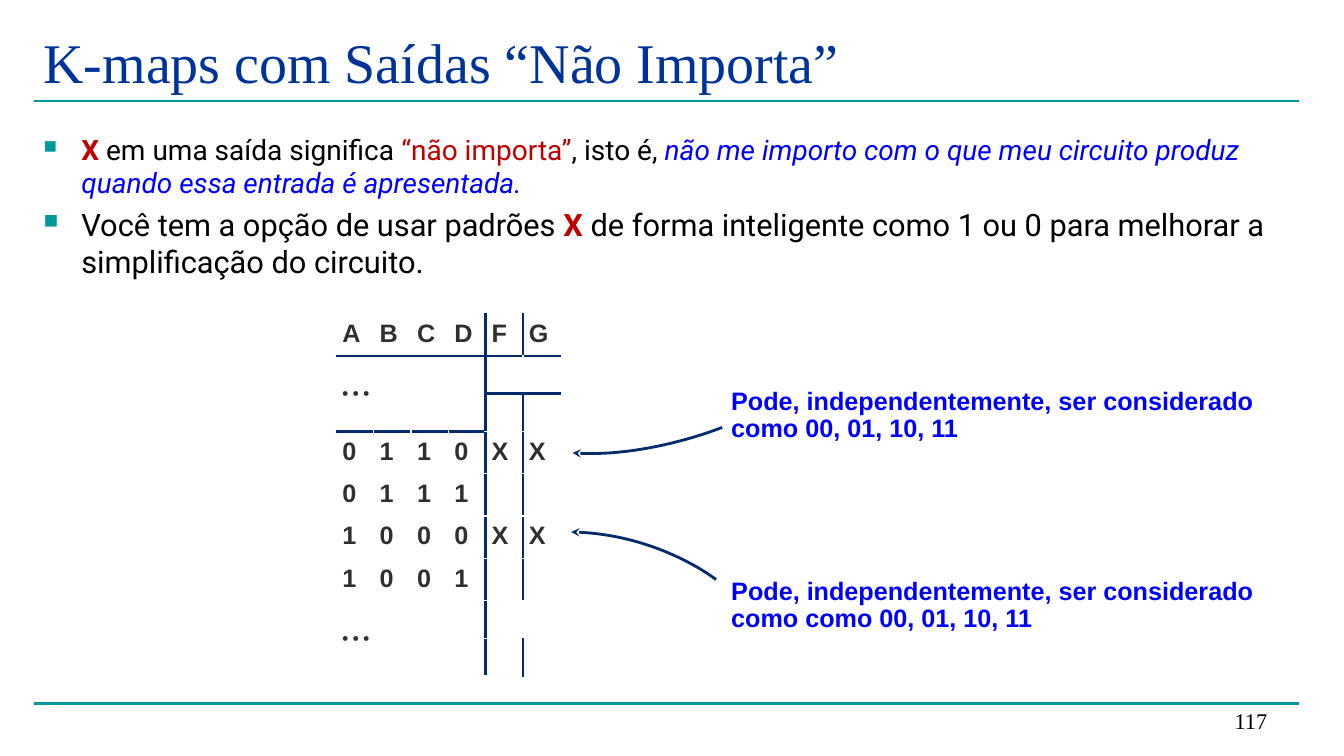
from lxml import etree
from pptx import Presentation
from pptx.dml.color import RGBColor
from pptx.enum.shapes import MSO_CONNECTOR
from pptx.enum.text import MSO_ANCHOR, PP_ALIGN
from pptx.oxml.ns import qn
from pptx.util import Pt

STRAIGHT = MSO_CONNECTOR.STRAIGHT
TOP, MIDDLE, BOTTOM = MSO_ANCHOR.TOP, MSO_ANCHOR.MIDDLE, MSO_ANCHOR.BOTTOM
LEFT, RIGHT = PP_ALIGN.LEFT, PP_ALIGN.RIGHT
TEAL, NAVY, BLUE, RED, BLACK, GREY = "009999", "062B6B", "0000FF", "C00000", "000000", "2F2F2F"
SERIF, SANS, BODY = "Times New Roman", "Arial", "Roboto"
CELL_MARGIN = 4.3
TRUTH_ROWS = ["ABCDFG", "", "", "0110XX", "0111", "1000XX", "1001", "", ""]
DOT_ROWS = (1, 7)
INPUT_COUNT = 4


def color(value):
    return RGBColor.from_string(value)


def child(parent, tag, **attributes):
    return etree.SubElement(parent, qn(tag), attributes)


def add_run(paragraph, text, size, font_name, font_color, bold=False, italic=False):
    run = paragraph.add_run()
    run.text = text
    font = run.font
    font.size, font.name, font.bold, font.italic = Pt(size), font_name, bold, italic
    font.color.rgb = color(font_color)


def add_text_box(slide, box, anchor=TOP, margins=(7.2, 3.6)):
    shape = slide.shapes.add_textbox(*map(Pt, box))
    frame = shape.text_frame
    frame.word_wrap = True
    frame.vertical_anchor = anchor
    frame.margin_left = frame.margin_right = Pt(margins[0])
    frame.margin_top = frame.margin_bottom = Pt(margins[1])
    return frame


def add_label(slide, box, text, size, font_color, anchor=TOP, align=LEFT):
    paragraph = add_text_box(slide, box, anchor).paragraphs[0]
    paragraph.alignment = align
    add_run(paragraph, text, size, SERIF, font_color)


def add_rule(slide, left, top, width):
    rule = slide.shapes.add_connector(STRAIGHT, Pt(left), Pt(top), Pt(left + width), Pt(top))
    rule.line.color.rgb = color(TEAL)
    rule.line.width = Pt(1.5)
    child(rule._element.spPr, "a:effectLst")


def add_bullets(slide, box, bullets):
    frame = add_text_box(slide, box)
    for index, (size, pieces) in enumerate(bullets):
        paragraph = frame.add_paragraph() if index else frame.paragraphs[0]
        if index:
            paragraph.space_before = Pt(size * 0.2)
        properties = paragraph._p.get_or_add_pPr()
        properties.set("marL", str(Pt(27)))
        properties.set("indent", str(-Pt(27)))
        child(child(properties, "a:buClr"), "a:srgbClr", val=TEAL)
        child(properties, "a:buSzPct", val="65000")
        child(properties, "a:buChar", char="■")
        for text, font_color, bold, italic in pieces:
            add_run(paragraph, text, size, BODY, font_color, bold, italic)


def add_border(cell, sides):
    properties = cell._tc.get_or_add_tcPr()
    for index, side in enumerate(sides):
        line = etree.Element(qn("a:ln" + side), w=str(Pt(2)))
        child(child(line, "a:solidFill"), "a:srgbClr", val=NAVY)
        properties.insert(index, line)


def fill_cell(cell, text, size):
    cell.fill.background()
    cell.margin_left = cell.margin_right = Pt(CELL_MARGIN)
    cell.margin_top = cell.margin_bottom = Pt(CELL_MARGIN)
    paragraph = cell.text_frame.paragraphs[0]
    if text:
        add_run(paragraph, text, size, SANS, GREY, bold=True)
    else:
        child(paragraph._p, "a:endParaRPr", sz="1200")


def add_truth_table(slide, box):
    row_count, column_count = len(TRUTH_ROWS), len(TRUTH_ROWS[0])
    table = slide.shapes.add_table(row_count, column_count, *map(Pt, box)).table
    table.first_row = table.horz_banding = False
    for column in table.columns:
        column.width = Pt(box[2] / column_count)
    for row_index, values in enumerate(TRUTH_ROWS):
        table.rows[row_index].height = Pt(29.7 if values else 27)
        for column_index in range(column_count):
            cell = table.cell(row_index, column_index)
            starts_dots = row_index in DOT_ROWS and column_index == 0
            if starts_dots:
                fill_cell(cell, "• • •", 12)
                cell.vertical_anchor = MIDDLE
            else:
                fill_cell(cell, values[column_index:column_index + 1], 18)
            sides = "L" if column_index == INPUT_COUNT else ""
            if column_index == INPUT_COUNT - 1 or starts_dots:
                sides += "R"
            sides += {0: "B", 1: "T"}.get(row_index, "")
            add_border(cell, sides)
    for row_index in DOT_ROWS:
        table.cell(row_index, 0).merge(table.cell(row_index + 1, INPUT_COUNT - 1))


def add_callout(slide, box, lines, curve):
    frame = add_text_box(slide, box, margins=(CELL_MARGIN, CELL_MARGIN))
    for index, text in enumerate(lines):
        paragraph = frame.add_paragraph() if index else frame.paragraphs[0]
        paragraph.line_spacing = 0.9
        paragraph._p.get_or_add_pPr().set("marL", str(Pt(3)))
        add_run(paragraph, text, 18, SANS, BLUE, bold=True)

    start, bend, tip = [(Pt(box[0] + x), Pt(box[1] + y)) for x, y in curve]
    builder = slide.shapes.build_freeform(*start)
    builder.add_line_segments([start, bend, tip], close=False)
    arrow = builder.convert_to_shape()
    arrow.shadow.inherit = False
    arrow.fill.background()
    arrow.line.color.rgb = color(NAVY)
    arrow.line.width = Pt(2)
    child(arrow.line._get_or_add_ln(), "a:tailEnd", type="stealth")
    outline = arrow._element.find(".//" + qn("a:path"))
    segments = outline.findall(qn("a:lnTo"))
    bezier = child(outline, "a:cubicBezTo")
    for segment in segments:
        bezier.append(segment[0])
        outline.remove(segment)


def build_slide(presentation):
    slide = presentation.slides.add_slide(presentation.slide_layouts[6])
    for top in (72, 502.5):
        add_rule(slide, 24, top, 904)
    add_label(slide, (24, 16, 904, 80), "K-maps com Saídas “Não Importa”", 40, "003399")
    add_bullets(slide, (24, 91, 910, 383), [
        (20, [
            ("X", RED, True, False),
            (" em uma saída significa", BLACK, False, False),
            (" “não importa”", RED, False, False),
            (", isto é, ", BLACK, False, False),
            ("não me importo com o que meu circuito produz quando essa entrada é apresentada.",
             BLUE, False, True),
        ]),
        (22, [
            ("Você tem a opção de usar padrões ", BLACK, False, False),
            ("X", RED, True, False),
            (" de forma inteligente como 1 ou 0 para melhorar a simplificação do circuito.",
             BLACK, False, False),
        ]),
    ])
    add_truth_table(slide, (240.3, 224, 160, 256))
    first_line = "Pode, independentemente, ser considerado"
    add_callout(slide, (515, 273.5, 396, 47.5), [first_line, "como 00, 01, 10, 11"],
                [(0.8, 31.8), (-53.5, 54), (-106, 50)])
    add_callout(slide, (515, 409, 406, 47.5), [first_line, "como como 00, 01, 10, 11"],
                [(-3.5, 5), (-45, -28), (-107, -29)])
    add_label(slide, (688.3, 492, 224, 36), "117", 16, BLACK, BOTTOM, RIGHT)


def main():
    presentation = Presentation()
    presentation.slide_width, presentation.slide_height = Pt(960), Pt(540)
    build_slide(presentation)
    presentation.save("out.pptx")


if __name__ == "__main__":
    main()
